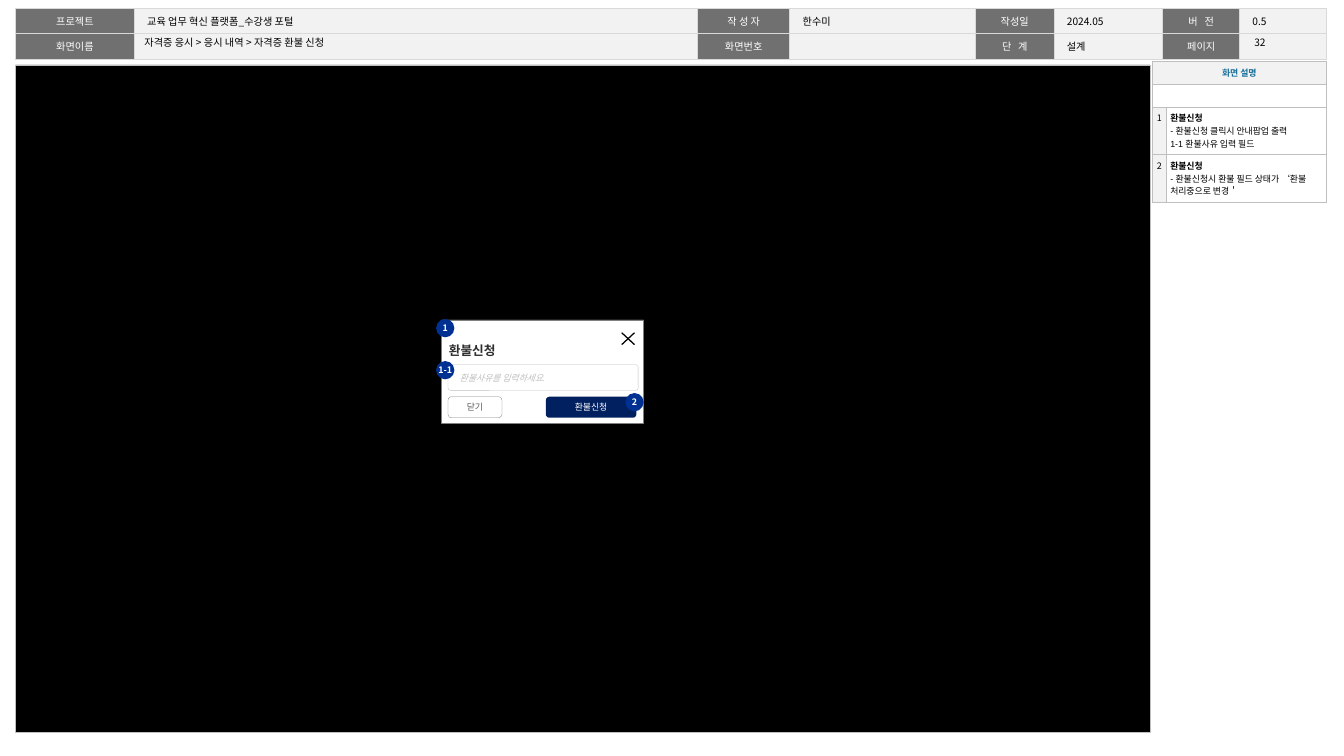
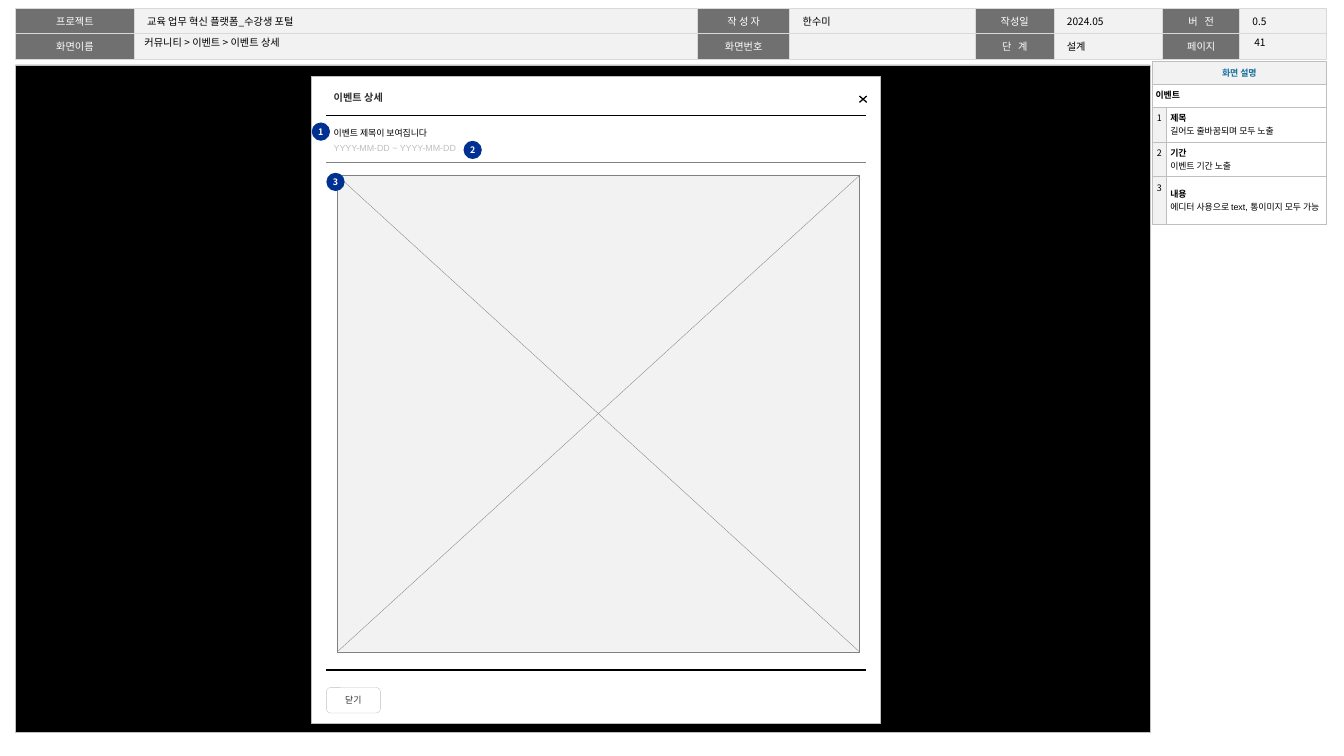
import lxml.etree
import pptx
import pptx.dml.color
import pptx.enum.shapes
import pptx.enum.text
import pptx.oxml.ns
import pptx.util

Inches, Pt = pptx.util.Inches, pptx.util.Pt
RGB = pptx.dml.color.RGBColor
SHAPE = pptx.enum.shapes.MSO_SHAPE
LEFT, CENTER = pptx.enum.text.PP_ALIGN.LEFT, pptx.enum.text.PP_ALIGN.CENTER
TOP, MIDDLE = pptx.enum.text.MSO_ANCHOR.TOP, pptx.enum.text.MSO_ANCHOR.MIDDLE
qn = pptx.oxml.ns.qn

BLACK = RGB(0x00, 0x00, 0x00)
WHITE = RGB(0xFF, 0xFF, 0xFF)
INK = RGB(0x2E, 0x2E, 0x2E)
LABEL_GREY = RGB(0x70, 0x70, 0x70)
PALE = RGB(0xF2, 0xF2, 0xF2)
RULE = RGB(0xD9, 0xD9, 0xD9)
EDGE = RGB(0xBF, 0xBF, 0xBF)
MID_GREY = RGB(0x80, 0x80, 0x80)
BUTTON_TEXT = RGB(0x59, 0x59, 0x59)
HEADING_BLUE = RGB(0x17, 0x6F, 0x9B)
MARKER_BLUE = RGB(0x00, 0x31, 0x92)
NAVY = RGB(0x00, 0x20, 0x60)
NOTO, ARIAL = "Noto Sans CJK KR", "Arial"

# Content; each note has a name, its details and the lines it takes up
HEADER_WIDTHS = [1.3, 6.16, 1.01, 2.03, 0.86, 1.19, 0.84, 0.95]
HEADER_ROWS = [
    ["프로젝트", "교육 업무 혁신 플랫폼_수강생 포털", "작 성 자", "한수미",
     "작성일", "2024.05", "버   전", "0.5"],
    ["화면이름", "", "화면번호", "", "단   계", "설계", "페이지", ""],
]
REFUND = {
    "title": "자격증 응시 > 응시 내역 > 자격증 환불 신청",
    "page": "32",
    "subject": "",
    "notes": [
        ("환불신청", ["- 환불신청 클릭시 안내팝업 출력", "1-1 환불사유 입력 필드"], 3),
        ("환불신청", ["- 환불신청시 환불 필드 상태가 ‘환불 처리중으로 변경＇"], 3),
    ],
    "markers": [("1", 4.77, 3.49), ("1-1", 4.77, 3.95), ("2", 6.84, 4.3)],
}
EVENT = {
    "title": "커뮤니티 > 이벤트 > 이벤트 상세",
    "page": "41",
    "subject": "이벤트",
    "notes": [
        ("제목", ["길어도 줄바꿈되며 모두 노출"], 2),
        ("기간", ["이벤트 기간 노출"], 2),
        ("내용", ["에디터 사용으로 text, 통이미지 모두 가능"], 3),
    ],
    "markers": [("1", 3.41, 1.34), ("2", 5.07, 1.54), ("3", 3.57, 1.89)],
}


def line(text, size=7, color=BLACK, font=NOTO, bold=False, italic=False):
    return text, size, color, font, bold, italic


def write(frame, lines, align=LEFT, spacing=None):
    """Fill a text frame with one paragraph per line."""
    for index, (text, size, color, font, bold, italic) in enumerate(lines):
        paragraph = frame.add_paragraph() if index else frame.paragraphs[0]
        paragraph.alignment = align
        if spacing:
            paragraph.line_spacing = spacing
        if not text:
            lxml.etree.SubElement(paragraph._p, qn("a:endParaRPr"), sz=str(size * 100))
            continue
        run = paragraph.add_run()
        run.text = text
        run.font.size, run.font.name = Pt(size), font
        run.font.bold, run.font.italic = bold, italic
        run.font.color.rgb = color
        east_asian = lxml.etree.SubElement(run.font._element, qn("a:ea"))
        east_asian.set("typeface", NOTO)


def set_insets(target, insets):
    (target.margin_left, target.margin_top,
     target.margin_right, target.margin_bottom) = map(Inches, insets)


def add_box(slide, kind, at, fill=None, edge=None, width=0.25, lines=(),
            insets=(0, 0, 0, 0), align=CENTER, anchor=MIDDLE, wrap=True):
    box = slide.shapes.add_shape(kind, *map(Inches, at))
    box.shadow.inherit = False
    if fill is None:
        box.fill.background()
    else:
        box.fill.solid()
        box.fill.fore_color.rgb = fill
    if edge is None:
        box.line.fill.background()
    else:
        box.line.color.rgb, box.line.width = edge, Pt(width)
    frame = box.text_frame
    frame.word_wrap, frame.vertical_anchor = wrap, anchor
    set_insets(frame, insets)
    write(frame, lines, align)
    return box


def add_label(slide, at, text, insets):
    label = slide.shapes.add_textbox(*map(Inches, at)).text_frame
    label.word_wrap, label.vertical_anchor = True, MIDDLE
    set_insets(label, insets)
    write(label, [line(text, 8)])


def add_cross(slide, left, top, width, height, color, weight):
    right, bottom = left + width, top + height
    for ends in ((left, top, right, bottom), (left, bottom, right, top)):
        stroke = slide.shapes.add_connector(
            pptx.enum.shapes.MSO_CONNECTOR.STRAIGHT, *map(Inches, ends))
        stroke.line.color.rgb, stroke.line.width = color, Pt(weight)
        lxml.etree.SubElement(stroke._element.spPr, qn("a:effectLst"))


def add_grid(slide, left, top, widths, heights):
    table = slide.shapes.add_table(
        len(heights), len(widths), Inches(left), Inches(top),
        Inches(sum(widths)), Inches(sum(heights))).table
    table.first_row = table.horz_banding = False
    for column, width in zip(table.columns, widths):
        column.width = Inches(width)
    for row, height in zip(table.rows, heights):
        row.height = Inches(height)
    return table


def set_cell(cell, lines, fill, borders, insets, align=LEFT, anchor=TOP, spacing=None):
    """Borders are (colour, points) or None, in the order left, right, top, bottom."""
    set_insets(cell, insets)
    cell.vertical_anchor = anchor
    write(cell.text_frame, lines, align, spacing)
    properties = cell._tc.get_or_add_tcPr()
    for side, border in zip("LRTB", borders):
        edge = lxml.etree.SubElement(properties, qn(f"a:ln{side}"))
        if border is None:
            lxml.etree.SubElement(edge, qn("a:noFill"))
            continue
        color, width = border
        edge.set("w", str(Pt(width)))
        solid = lxml.etree.SubElement(edge, qn("a:solidFill"))
        lxml.etree.SubElement(solid, qn("a:srgbClr"), val=str(color))
    cell.fill.solid()
    cell.fill.fore_color.rgb = fill


def add_frame(slide, screen):
    """Header band, dark stage, title and page number."""
    header = add_grid(slide, 0.17, 0.09, HEADER_WIDTHS, [0.28, 0.28])
    for r, texts in enumerate(HEADER_ROWS):
        for c, text in enumerate(texts):
            is_label = c % 2 == 0
            set_cell(header.cell(r, c), [line(text, 8, WHITE if is_label else BLACK)],
                     LABEL_GREY if is_label else PALE, [(RULE, 1)] * 4,
                     (0.14, 0.05, 0.14, 0.05), CENTER if is_label else LEFT, spacing=1.05)
    add_box(slide, SHAPE.RECTANGLE, (0.17, 0.71, 12.41, 7.3), BLACK, EDGE, 0.5)
    add_label(slide, (1.47, 0.38, 5.91, 0.16), screen["title"], (0.11, 0.05, 0.11, 0.05))
    add_label(slide, (13.62, 0.38, 0.72, 0.16), screen["page"], (0.1, 0.05, 0.1, 0.05))


def add_notes_table(slide, screen):
    """Description panel on the right."""
    notes = screen["notes"]
    note_heights = [0.1 + 0.14 * line_count for _, _, line_count in notes]
    panel = add_grid(slide, 12.6, 0.67, [0.16, 1.75], [0.25, 0.25] + note_heights)
    borders, insets = [(EDGE, 0.25)] * 4, (0.04, 0.05, 0.04, 0.05)
    blank = [line("")]
    heading = [line("화면 설명", color=HEADING_BLUE, bold=True)]
    subject = [line(screen["subject"], font=ARIAL, bold=True)]
    for r in range(2):
        panel.cell(r, 0).merge(panel.cell(r, 1))
    for c in range(2):
        set_cell(panel.cell(0, c), blank if c else heading, PALE, borders, insets,
                 CENTER, MIDDLE)
        set_cell(panel.cell(1, c), blank if c else subject, WHITE, borders, insets)
    for number, (name, details, _) in enumerate(notes, 1):
        set_cell(panel.cell(number + 1, 0), [line(str(number))], PALE, borders, insets,
                 CENTER)
        lines = [line(name, font=ARIAL, bold=True)]
        lines += [line(detail, font=ARIAL) for detail in details]
        set_cell(panel.cell(number + 1, 1), lines, WHITE, borders, insets, LEFT, MIDDLE)


def add_markers(slide, screen):
    for number, left, top in screen["markers"]:
        add_box(slide, SHAPE.OVAL, (left, top, 0.2, 0.2), MARKER_BLUE,
                lines=[line(number, color=WHITE, bold=True)], wrap=False)


def draw_refund_popup(slide):
    add_box(slide, SHAPE.RECTANGLE, (4.83, 3.5, 2.21, 1.13), WHITE, MID_GREY,
            lines=[line("환불신청", 10, INK, ARIAL, bold=True)],
            insets=(0.08, 0.25, 0, 0), align=LEFT, anchor=TOP, wrap=False)
    reason = add_box(slide, SHAPE.ROUNDED_RECTANGLE, (4.9, 3.99, 2.08, 0.28), edge=EDGE,
                     lines=[line("환불사유를 입력하세요.", color=EDGE, font=ARIAL, italic=True)],
                     insets=(0.12, 0, 0.08, 0), align=LEFT)
    reason.adjustments[0] = 0.1
    add_cross(slide, 6.8, 3.64, 0.14, 0.13, BLACK, 1)
    add_box(slide, SHAPE.ROUNDED_RECTANGLE, (5.97, 4.34, 0.99, 0.23), NAVY,
            lines=[line("환불신청", color=WHITE)])
    add_box(slide, SHAPE.ROUNDED_RECTANGLE, (4.9, 4.34, 0.59, 0.23), edge=MID_GREY,
            lines=[line("닫기", color=BUTTON_TEXT)])


def draw_event_popup(slide):
    add_box(slide, SHAPE.RECTANGLE, (3.41, 0.84, 6.22, 7.07), WHITE, EDGE, 0.5,
            [line("이벤트 상세", 8, INK, bold=True)], (0.24, 0.16, 0.16, 0.05),
            LEFT, TOP, wrap=False)
    add_cross(slide, 9.4, 1.05, 0.08, 0.07, BLACK, 1)
    add_box(slide, SHAPE.ROUNDED_RECTANGLE, (3.57, 7.52, 0.59, 0.28), WHITE, EDGE,
            lines=[line("닫기", color=INK, font=ARIAL)], wrap=False)

    # Title and period, content area, closing rule
    body = add_grid(slide, 3.57, 1.26, [3.09, 1.21, 1.6], [0.51, 5.12, 0.44])
    rules = [(BLACK, 1), (MID_GREY, 0.25), (WHITE, 0.25), (BLACK, 1)]
    summary = [line("이벤트 제목이 보여집니다", font=ARIAL),
               line("YYYY-MM-DD ~ YYYY-MM-DD", color=EDGE, font=ARIAL)]
    for r in (1, 2):
        body.cell(r, 0).merge(body.cell(r, 2))
    for r in range(3):
        for c in range(3):
            set_cell(body.cell(r, c), summary if r == c == 0 else [line("")], WHITE,
                     [None, None, rules[r], rules[r + 1]], (0.08, 0, 0, 0.04),
                     LEFT, MIDDLE, 1.5)

    # Image area
    area = (3.69, 1.92, 5.71, 5.21)
    add_box(slide, SHAPE.RECTANGLE, area, PALE, MID_GREY)
    add_cross(slide, *area, MID_GREY, 0.25)


def main():
    deck = pptx.Presentation()
    deck.slide_width, deck.slide_height = Inches(14.7), Inches(8.27)
    for screen, draw_popup in ((REFUND, draw_refund_popup), (EVENT, draw_event_popup)):
        slide = deck.slides.add_slide(deck.slide_layouts[6])
        add_frame(slide, screen)
        add_notes_table(slide, screen)
        draw_popup(slide)
        add_markers(slide, screen)
    deck.save("out.pptx")


if __name__ == "__main__":
    main()
